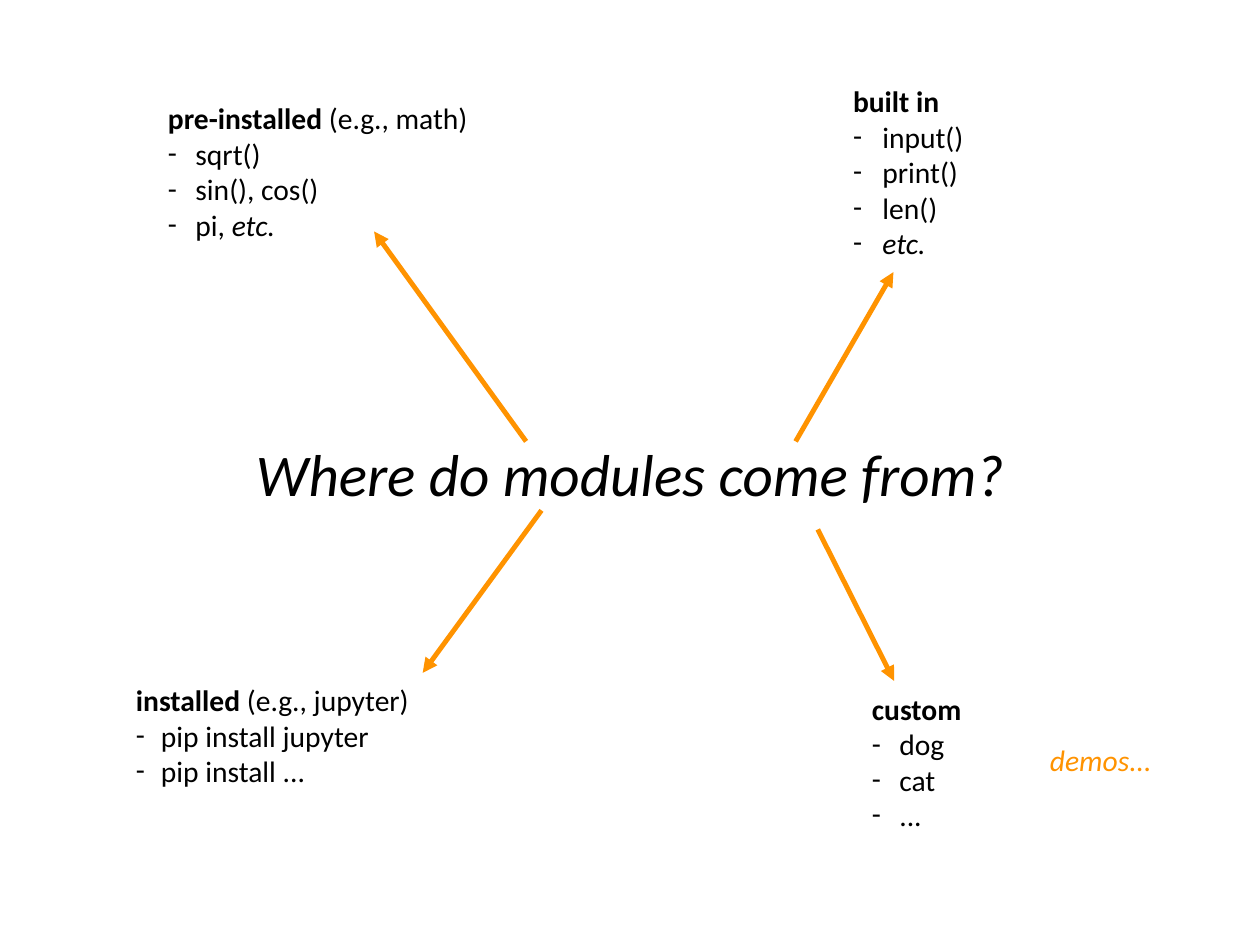
from dataclasses import dataclass

from lxml import etree
from pptx import Presentation
from pptx.dml.color import RGBColor
from pptx.enum.shapes import MSO_CONNECTOR
from pptx.enum.text import MSO_ANCHOR, MSO_AUTO_SIZE, PP_ALIGN
from pptx.oxml.ns import qn
from pptx.util import Pt

BLACK = RGBColor(0x00, 0x00, 0x00)
ORANGE = RGBColor(0xFF, 0x93, 0x00)
STRAIGHT = MSO_CONNECTOR.STRAIGHT
TOP, MIDDLE = MSO_ANCHOR.TOP, MSO_ANCHOR.MIDDLE
LEFT, CENTER = PP_ALIGN.LEFT, PP_ALIGN.CENTER
NO_AUTOFIT = MSO_AUTO_SIZE.NONE

TITLE_ONLY = 5
FONT = "Calibri"
INSET = 4.5
BODY_SIZE = 24

PLAIN = {"bold": False, "italic": False}
BOLD = {"bold": True, "italic": False}
ITALIC = {"bold": False, "italic": True}


@dataclass(frozen=True)
class Run:
    text: str
    style: dict


@dataclass(frozen=True)
class Box:
    left: float
    top: float
    width: float
    height: float


@dataclass(frozen=True)
class ModuleSource:
    box: Box
    margin: float
    hanging: float
    heading: list[Run]
    items: list[list[Run]]


@dataclass(frozen=True)
class Arrow:
    start: tuple[float, float]
    end: tuple[float, float]


MODULE_SOURCES = [
    ModuleSource(
        Box(120.5, 77, 350, 123), 33.8, 22.3,
        [Run("pre-installed", BOLD), Run(" (e.g., math)", PLAIN)],
        [[Run("sqrt()", PLAIN)], [Run("sin(), cos()", PLAIN)],
         [Run("pi, ", PLAIN), Run("etc.", ITALIC)]],
    ),
    ModuleSource(
        Box(676.5, 63, 153, 152), 36, 23.8,
        [Run("built in", BOLD)],
        [[Run("input()", PLAIN)], [Run("print()", PLAIN)],
         [Run("len()", PLAIN)], [Run("etc.", ITALIC)]],
    ),
    ModuleSource(
        Box(96, 549.5, 317, 94), 30.2, 20.2,
        [Run("installed", BOLD), Run(" (e.g., jupyter)", PLAIN)],
        [[Run("pip install jupyter", PLAIN)], [Run("pip install ...", PLAIN)]],
    ),
    ModuleSource(
        Box(692.5, 556.5, 153, 123), 33.8, 22.3,
        [Run("custom", BOLD)],
        [[Run("dog", PLAIN)], [Run("cat", PLAIN)], [Run("...", PLAIN)]],
    ),
]

ARROWS = [
    Arrow((646.5, 358.5), (726, 221)),
    Arrow((664.5, 430), (726.5, 553)),
    Arrow((440, 414.5), (343.5, 546.5)),
    Arrow((427.5, 358.5), (304, 188)),
]


def set_up_frame(frame, anchor) -> None:
    settings = {
        "word_wrap": True, "auto_size": NO_AUTOFIT, "vertical_anchor": anchor,
        "margin_left": Pt(INSET), "margin_right": Pt(INSET),
        "margin_top": Pt(INSET), "margin_bottom": Pt(INSET),
    }
    for name, value in settings.items():
        setattr(frame, name, value)


def write_runs(paragraph, runs: list[Run], size: float, color: RGBColor, alignment) -> None:
    paragraph.alignment = alignment
    for part in runs:
        run = paragraph.add_run()
        run.text = part.text
        for name, value in {"name": FONT, "size": Pt(size), **part.style}.items():
            setattr(run.font, name, value)
        run.font.color.rgb = color


def indent(paragraph, margin: float, hanging: float, bullet: str = "") -> None:
    properties = paragraph._p.get_or_add_pPr()
    properties.set("marL", str(Pt(margin)))
    properties.set("indent", str(-Pt(hanging)))
    if bullet:
        bullet_color = etree.SubElement(properties, qn("a:buClr"))
        etree.SubElement(bullet_color, qn("a:srgbClr"), val=str(BLACK))
        etree.SubElement(properties, qn("a:buSzPct"), val="100000")
        etree.SubElement(properties, qn("a:buFont"), typeface=FONT)
        etree.SubElement(properties, qn("a:buChar"), char=bullet)


def add_frame(slide, box: Box, anchor):
    shape = slide.shapes.add_textbox(Pt(box.left), Pt(box.top), Pt(box.width), Pt(box.height))
    set_up_frame(shape.text_frame, anchor)
    return shape.text_frame


def add_title(slide, text: str, box: Box) -> None:
    title = slide.shapes.title
    for name in ("left", "top", "width", "height"):
        setattr(title, name, Pt(getattr(box, name)))
    set_up_frame(title.text_frame, MIDDLE)
    write_runs(title.text_frame.paragraphs[0], [Run(text, ITALIC)], 48, BLACK, CENTER)


def add_module_source(slide, source: ModuleSource) -> None:
    frame = add_frame(slide, source.box, TOP)
    heading = frame.paragraphs[0]
    indent(heading, source.margin, source.hanging)
    write_runs(heading, source.heading, BODY_SIZE, BLACK, LEFT)
    for item in source.items:
        paragraph = frame.add_paragraph()
        indent(paragraph, source.margin, source.hanging, "-")
        write_runs(paragraph, item, BODY_SIZE, BLACK, LEFT)


def add_arrow(slide, arrow: Arrow) -> None:
    ends = [Pt(value) for value in (*arrow.start, *arrow.end)]
    connector = slide.shapes.add_connector(STRAIGHT, *ends)
    connector.line.color.rgb = ORANGE
    connector.line.width = Pt(4)
    etree.SubElement(connector.line._get_or_add_ln(), qn("a:tailEnd"), type="triangle")
    etree.SubElement(connector._element.spPr, qn("a:effectLst"))


def main() -> None:
    presentation = Presentation()
    presentation.slide_width = Pt(1023.84)
    presentation.slide_height = Pt(767.52)
    slide = presentation.slides.add_slide(presentation.slide_layouts[TITLE_ONLY])

    add_title(slide, "Where do modules come from?", Box(75, 315, 874, 138))
    for source in MODULE_SOURCES:
        add_module_source(slide, source)
    for arrow in ARROWS:
        add_arrow(slide, arrow)
    demos = add_frame(slide, Box(846, 598.5, 97, 36.5), MIDDLE)
    write_runs(demos.paragraphs[0], [Run("demos...", ITALIC)], BODY_SIZE, ORANGE, CENTER)

    presentation.save("out.pptx")


if __name__ == "__main__":
    main()
